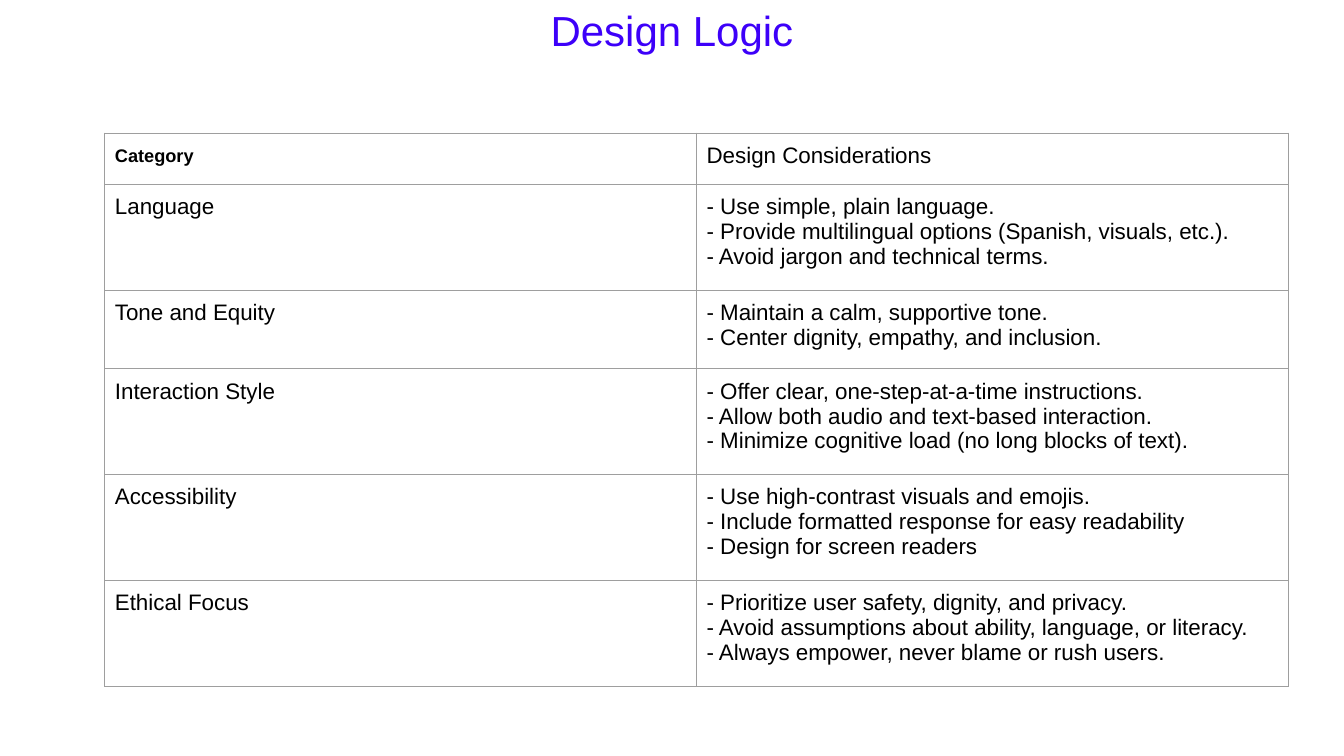
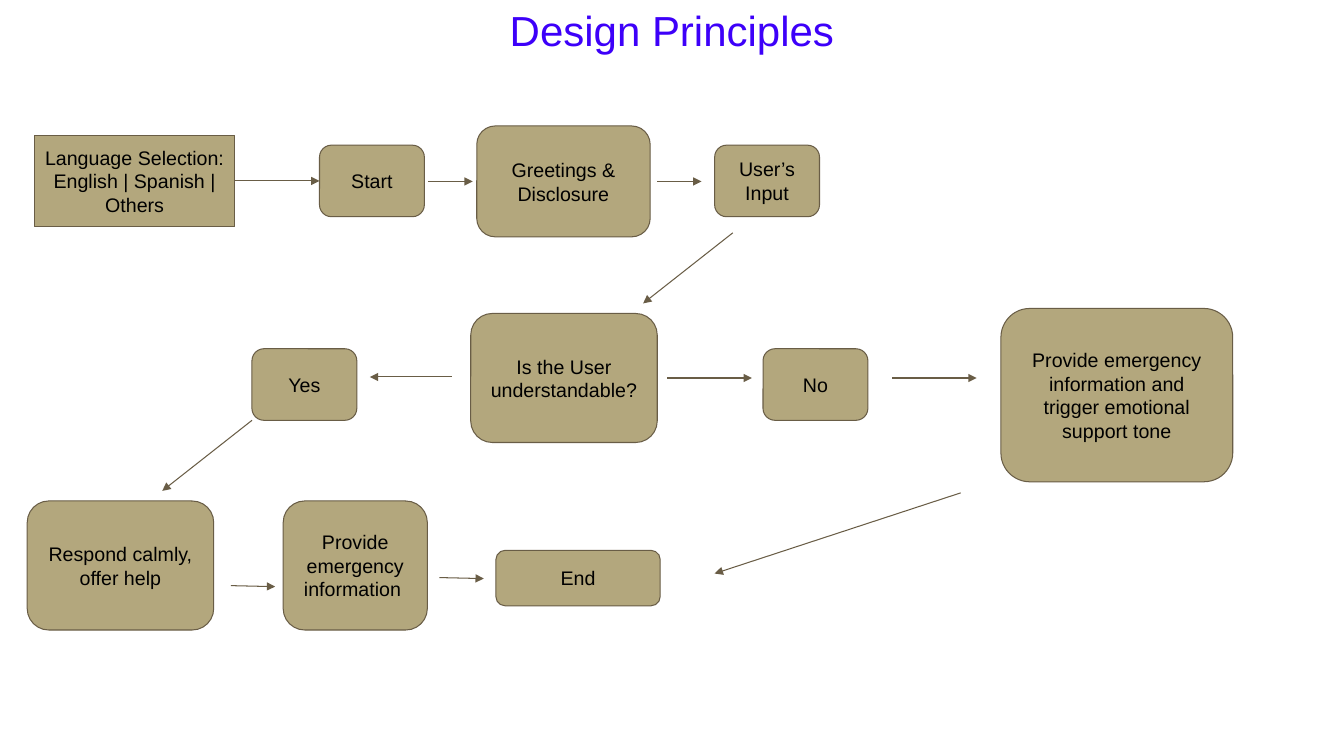
from lxml.etree import SubElement
from pptx import Presentation
from pptx.dml.color import RGBColor
from pptx.enum.shapes import MSO_CONNECTOR, MSO_SHAPE as SHAPE
from pptx.enum.text import MSO_ANCHOR as ANCHOR, MSO_AUTO_SIZE, PP_ALIGN as ALIGN
from pptx.oxml.ns import qn
from pptx.util import Emu, Inches, Pt

CELL = Inches(0.1)  # side of one square of the layout grid
COLS, ROWS = 133.33, 75
INK, TITLE, BORDER = "000000", "3D00F9", "9E9E9E"
BOX_FILL, BOX_LINE = "B3A77D", "695D46"
LINE_WIDTH = Pt(0.75)
PAD = Inches(0.1)
PADDING = {"margin_left": PAD, "margin_right": PAD, "margin_top": PAD, "margin_bottom": PAD}


def grid(*cells):
    """Turn counts of grid squares into lengths."""
    return [Emu(round(c * CELL)) for c in cells]


def write(tf, lines, size, hex_color=INK, bold=False, **paragraph_format):
    """Fill a text frame with one paragraph per line."""
    font = {"name": "Arial", "size": Pt(size), "bold": bold}
    for i, line in enumerate(lines):
        p = tf.add_paragraph() if i else tf.paragraphs[0]
        for key, value in paragraph_format.items():
            setattr(p, key, value)
        r = p.add_run()
        r.text = line
        for key, value in font.items():
            setattr(r.font, key, value)
        r.font.color.rgb = RGBColor.from_string(hex_color)


prs = Presentation()
prs.slide_width, prs.slide_height = grid(COLS, ROWS)

slides = []
for title in ["Design Logic", "Design Principles"]:
    s = prs.slides.add_slide(prs.slide_layouts[6])
    tf = s.shapes.add_textbox(*grid(0, 0, COLS, 6.1)).text_frame
    tf.word_wrap = True
    tf.auto_size = MSO_AUTO_SIZE.SHAPE_TO_FIT_TEXT
    write(tf, [title], 30, TITLE, alignment=ALIGN.CENTER)
    slides.append(s)
logic, principles = slides

# Design Logic: table of considerations
considerations = [
    ("Category", ["Design Considerations"], 5.1),
    ("Language", ["- Use simple, plain language.",
                  "- Provide multilingual options (Spanish, visuals, etc.).",
                  "- Avoid jargon and technical terms."], 10.5),
    ("Tone and Equity", ["- Maintain a calm, supportive tone.",
                         "- Center dignity, empathy, and inclusion."], 7.8),
    ("Interaction Style", ["- Offer clear, one-step-at-a-time instructions.",
                           "- Allow both audio and text-based interaction.",
                           "- Minimize cognitive load (no long blocks of text)."], 10.5),
    ("Accessibility", ["- Use high-contrast visuals and emojis.",
                       "- Include formatted response for easy readability",
                       "- Design for screen readers"], 10.5),
    ("Ethical Focus", ["- Prioritize user safety, dignity, and privacy.",
                       "- Avoid assumptions about ability, language, or literacy.",
                       "- Always empower, never blame or rush users."], 10.5),
]
height = sum(h for _, _, h in considerations)
table = logic.shapes.add_table(len(considerations), 2, *grid(10.4, 13.2, 117.4, height)).table
table.first_row = table.horz_banding = False

for i, (category, points, h) in enumerate(considerations):
    table.rows[i].height = grid(h)[0]
    for j, lines in enumerate([[category], points]):
        cell = table.cell(i, j)
        for key, value in PADDING.items():
            setattr(cell, key, value)
        is_label = i == 0 and j == 0
        write(cell.text_frame, lines, 13 if is_label else 16, bold=is_label,
              line_spacing=1.15 if is_label else None)
        tc_pr = cell._tc.get_or_add_tcPr()
        for side in ("a:lnL", "a:lnR", "a:lnT", "a:lnB"):
            ln = SubElement(tc_pr, qn(side), w=str(LINE_WIDTH))
            SubElement(SubElement(ln, qn("a:solidFill")), qn("a:srgbClr"), val=BORDER)
        cell.fill.background()

# Design Principles: flow of the conversation
SMALL, LARGE = (10.4, 7.1), (18.5, 12.8)
TOP_ROW, MIDDLE_ROW, BOTTOM_ROW = 14.4, 34.6, 49.7
boxes = [
    ("Language Selection: English | Spanish | Others", 3.4, 13.4, (19.9, 9.1)),
    ("Start", 31.7, TOP_ROW, SMALL),
    ("Greetings & Disclosure", 47.3, 12.5, (17.2, 11)),
    ("User’s Input", 70.9, TOP_ROW, SMALL),
    ("Is the User understandable?", 46.7, 31.1, LARGE),
    ("Yes", 25, MIDDLE_ROW, SMALL),
    ("No", 75.7, MIDDLE_ROW, SMALL),
    ("Provide emergency information and trigger emotional support tone", 99.3, 30.6, (23, 17.2)),
    ("Respond calmly, offer help", 2.7, BOTTOM_ROW, LARGE),
    ("Provide emergency information ", 28.1, BOTTOM_ROW, (14.3, 12.8)),
    ("End", 49.2, 54.6, (16.3, 5.5)),
]
nodes = []
for text, x, y, size in boxes:
    kind = SHAPE.ROUNDED_RECTANGLE if nodes else SHAPE.RECTANGLE
    sp = principles.shapes.add_shape(kind, *grid(x, y, *size))
    sp.shadow.inherit = False
    sp.fill.solid()
    sp.fill.fore_color.rgb = RGBColor.from_string(BOX_FILL)
    sp.line.color.rgb = RGBColor.from_string(BOX_LINE)
    sp.line.width = LINE_WIDTH
    tf = sp.text_frame
    for key, value in {**PADDING, "word_wrap": True, "vertical_anchor": ANCHOR.MIDDLE}.items():
        setattr(tf, key, value)
    write(tf, [text], 14, alignment=ALIGN.CENTER)
    nodes.append(sp)

arrows = [
    (23.3, 18, 31.7, 18),
    (42.5, 18, 46.9, 18),
    (65.2, 18, 69.6, 18),
    (72.7, 23.1, 63.8, 30.1),
    (66.2, 37.5, 74.6, 37.5),
    (88.5, 37.5, 96.9, 37.5),
    (44.8, 37.4, 36.7, 37.4),
    (25, 41.7, 16.1, 48.7),
    (22.9, 58.1, 27.3, 58.2),
    (43.6, 57.3, 48, 57.4),
    (95.3, 48.9, 70.9, 56.9),
]
links = []
for ends in arrows:
    link = principles.shapes.add_connector(MSO_CONNECTOR.STRAIGHT, *grid(*ends))
    link.line.color.rgb = RGBColor.from_string(BOX_LINE)
    link.line.width = LINE_WIDTH
    sp_pr = link._element.spPr
    SubElement(sp_pr.find(qn("a:ln")), qn("a:tailEnd"), type="triangle")
    SubElement(sp_pr, qn("a:effectLst"))
    links.append(link)

language, start = nodes[:2]
links[0].begin_connect(language, 3)
links[0].end_connect(start, 1)

prs.save("out.pptx")
